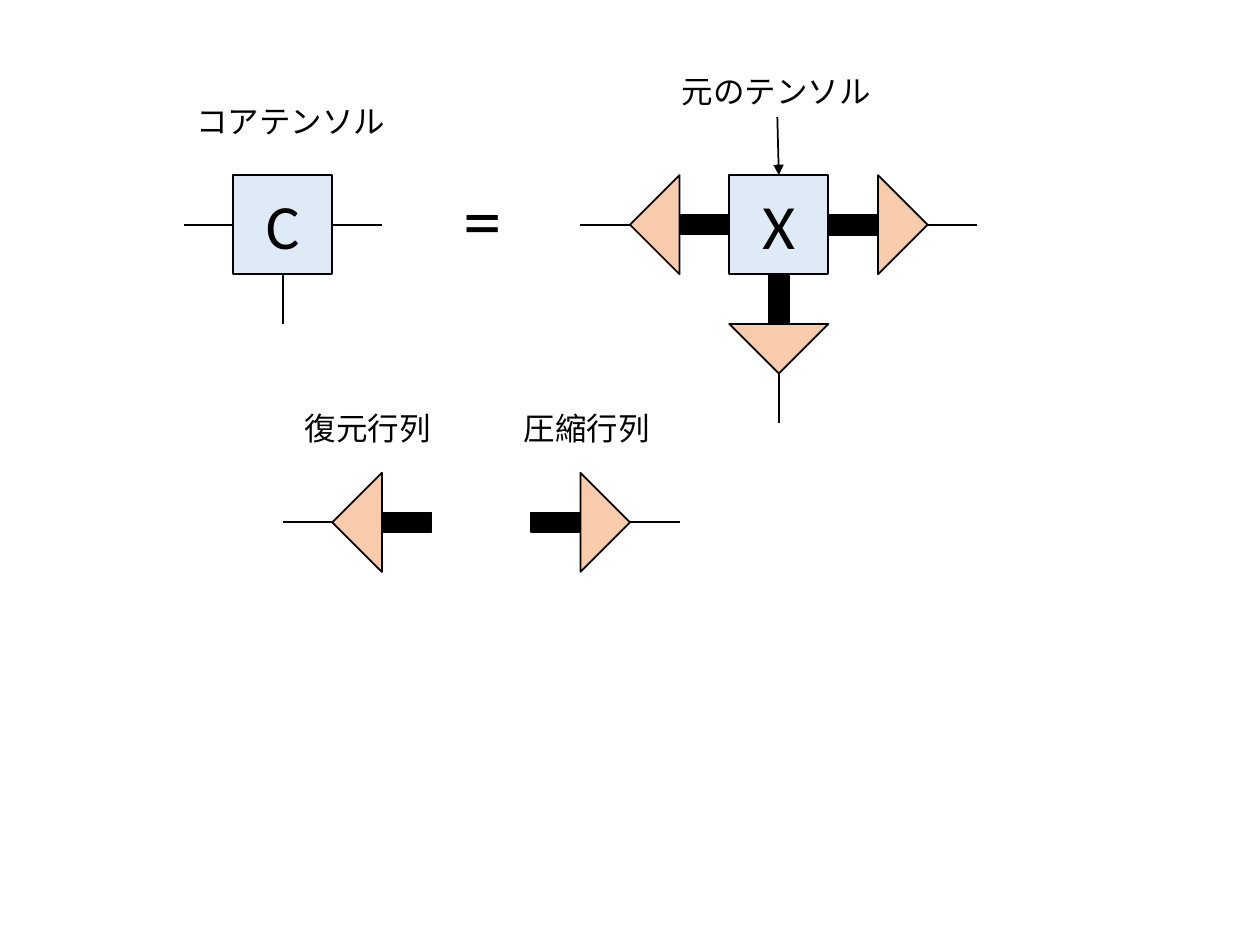
from lxml import etree
from pptx import Presentation
from pptx import util as u
from pptx.dml.color import RGBColor
from pptx.enum import shapes, text
from pptx.oxml import ns

BLACK = RGBColor(0x00, 0x00, 0x00)
BLUE = RGBColor(0xDE, 0xEB, 0xF7)
ORANGE = RGBColor(0xF8, 0xCB, 0xAD)
FONT = "Calibri"

CELL = u.Cm(1)
GRID_LEFT, GRID_TOP = 0.7, 0.53
LEFT, RIGHT, DOWN = (-1, 0), (1, 0), (0, 1)
TRIANGLE_TURN = {LEFT: 270, RIGHT: 90, DOWN: 180}


def column(value):
    return round((GRID_LEFT + value) * CELL)


def row(value):
    return round((GRID_TOP + value) * CELL)


def span(value):
    return round(value * CELL)


def step(point, direction, distance):
    return tuple(p + d * distance for p, d in zip(point, direction))


def add_run(paragraph, words, size):
    run = paragraph.add_run()
    run.text = words
    run.font.name = FONT
    run.font.size = u.Pt(size)
    run.font.color.rgb = BLACK


def add_shape(slide, kind, center, width, height, fill, turn=0):
    x, y = center
    shape = slide.shapes.add_shape(
        kind, column(x - width / 2), row(y - height / 2), span(width), span(height))
    shape.rotation = turn
    shape.shadow.inherit = False
    shape.fill.solid()
    shape.fill.fore_color.rgb = fill
    shape.line.color.rgb = BLACK
    shape.line.width = u.Pt(1)
    return shape


def add_line(slide, start, end, arrow=False):
    line = slide.shapes.add_connector(
        shapes.MSO_CONNECTOR.STRAIGHT,
        column(start[0]), row(start[1]), column(end[0]), row(end[1]))
    line.line.color.rgb = BLACK
    line.line.width = u.Pt(1)
    properties = line._element.spPr
    if arrow:
        etree.SubElement(properties.find(ns.qn("a:ln")), ns.qn("a:tailEnd"), type="triangle")
    etree.SubElement(properties, ns.qn("a:effectLst"))


def add_label(slide, words, left, top, width, height=1.02, size=18):
    label = slide.shapes.add_textbox(column(left), row(top), span(width), span(height))
    frame = label.text_frame
    frame.word_wrap = False
    frame.auto_size = text.MSO_AUTO_SIZE.SHAPE_TO_FIT_TEXT
    add_run(frame.paragraphs[0], words, size)


def add_tensor(slide, center, name):
    tensor = add_shape(slide, shapes.MSO_SHAPE.RECTANGLE, center, 2, 2, BLUE)
    frame = tensor.text_frame
    frame.vertical_anchor = text.MSO_ANCHOR.MIDDLE
    paragraph = frame.paragraphs[0]
    paragraph.alignment = text.PP_ALIGN.CENTER
    add_run(paragraph, name, 36)


def add_matrix(slide, start, direction):
    turn = TRIANGLE_TURN[direction]
    add_shape(slide, shapes.MSO_SHAPE.ISOSCELES_TRIANGLE,
              step(start, direction, 1.5), 2, 1, ORANGE, turn)
    add_line(slide, step(start, direction, 2), step(start, direction, 3))
    add_shape(slide, shapes.MSO_SHAPE.RECTANGLE,
              step(start, direction, 0.5), 1, 0.4, BLACK, (turn + 90) % 360)


def add_core_tensor(slide, center):
    x, y = center
    add_tensor(slide, center, "C")
    for direction in (LEFT, RIGHT, DOWN):
        add_line(slide, step(center, direction, 1), step(center, direction, 2))
    add_label(slide, "コアテンソル", x - 1.99, y - 2.6, 4.37)


def add_compressed_tensor(slide, center):
    x, y = center
    for direction in (LEFT, DOWN, RIGHT):
        add_matrix(slide, step(center, direction, 1), direction)
    add_tensor(slide, center, "X")
    add_label(slide, "元のテンソル", x - 2.21, y - 3.21, 4.37)
    add_line(slide, (x - 0.03, y - 2.17), (x, y - 1), arrow=True)


def add_matrix_pair(slide, center):
    x, y = center
    for name, direction, label_left in (
            ("復元行列", LEFT, x - 3.81), ("圧縮行列", RIGHT, x + 0.61)):
        add_matrix(slide, step(center, direction, 1), direction)
        add_label(slide, name, label_left, y - 2.4, 3.07)


def main():
    presentation = Presentation()
    presentation.slide_width = u.Inches(10)
    presentation.slide_height = u.Inches(7.5)
    slide = presentation.slides.add_slide(presentation.slide_layouts[6])
    add_core_tensor(slide, (5, 4))
    add_label(slide, "=", 8.39, 2.8, 1.3, 2.13, 44)
    add_compressed_tensor(slide, (15, 4))
    add_matrix_pair(slide, (9, 10))
    presentation.save("out.pptx")


if __name__ == "__main__":
    main()
